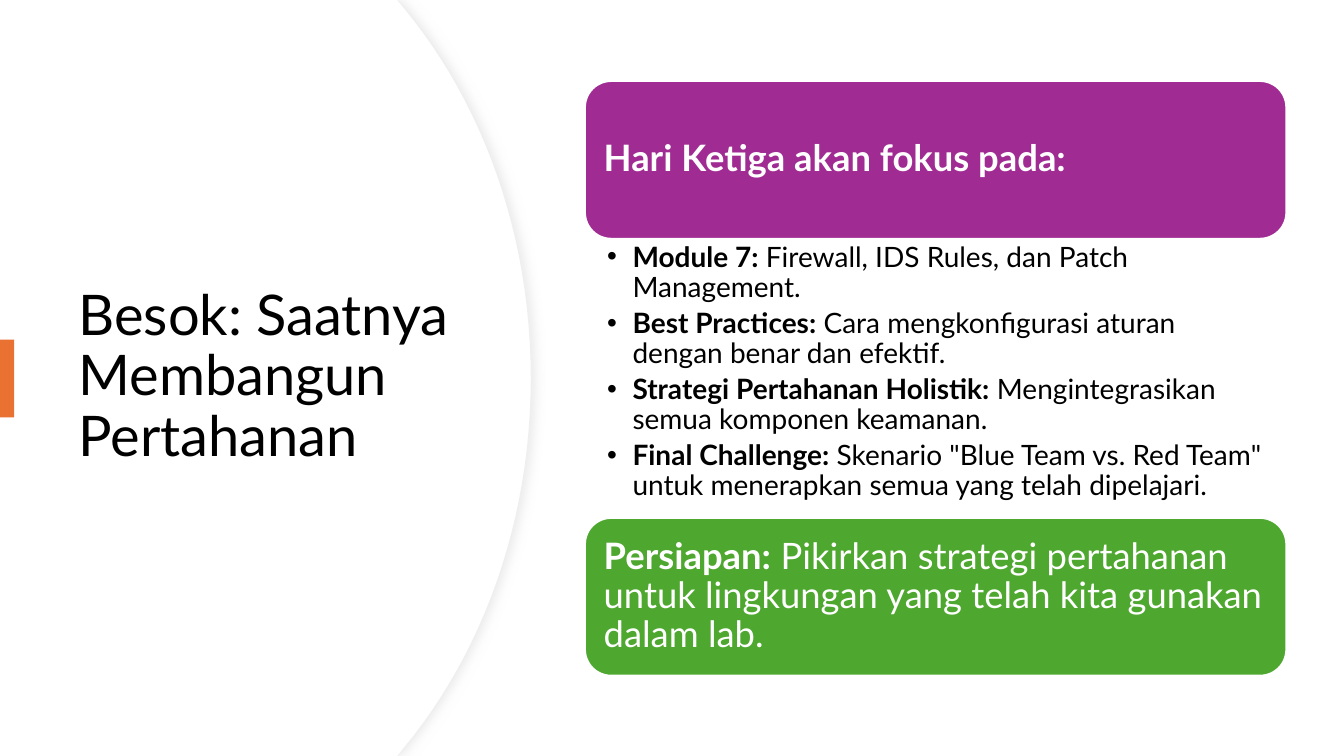
from dataclasses import dataclass

from lxml import etree
from pptx import Presentation
from pptx import util as u
from pptx.dml.color import RGBColor
from pptx.enum import shapes, text
from pptx.oxml import ns

WHITE = RGBColor(0xFF, 0xFF, 0xFF)
BLACK = RGBColor(0x00, 0x00, 0x00)
PALE_GRAY = RGBColor(0xEF, 0xEF, 0xEF)
SHADOW_GRAY = RGBColor(0xD9, 0xD9, 0xD9)
ORANGE = RGBColor(0xE9, 0x71, 0x32)
PURPLE = RGBColor(0xA0, 0x2B, 0x93)
GREEN = RGBColor(0x4E, 0xA7, 0x2E)

PAGE_WIDTH, PAGE_HEIGHT = 33.87, 19.05
COLUMN_LEFT, COLUMN_WIDTH, CARD_HEIGHT = 14.74, 17.68, 3.98
CURVE_STEPS = 24


@dataclass
class Entry:
    label: str
    detail: str = ""


@dataclass
class Card:
    top: float
    fill: RGBColor
    entry: Entry


CARDS = [
    Card(2.04, PURPLE, Entry("Hari Ketiga akan fokus pada:")),
    Card(13.05, GREEN, Entry("Persiapan:", " Pikirkan strategi pertahanan untuk lingkungan yang telah kita gunakan dalam lab.")),
]
TOPICS = [
    Entry("Module 7:", " Firewall, IDS Rules, dan Patch Management."),
    Entry("Best Practices:", " Cara mengkonfigurasi aturan dengan benar dan efektif."),
    Entry("Strategi Pertahanan Holistik:", " Mengintegrasikan semua komponen keamanan."),
    Entry("Final Challenge:", ' Skenario "Blue Team vs. Red Team" untuk menerapkan semua yang telah dipelajari.'),
]


def apply_format(target, values: dict) -> None:
    for name, value in values.items():
        setattr(target, name, value)


def place(shape, left: float, top: float, width: float, height: float) -> None:
    edges = {"left": left, "top": top, "width": width, "height": height}
    apply_format(shape, {name: u.Cm(value) for name, value in edges.items()})


def set_frame(frame, anchor, insets: tuple) -> None:
    names = ("margin_left", "margin_top", "margin_right", "margin_bottom")
    apply_format(frame, {
        "word_wrap": True,
        "auto_size": text.MSO_AUTO_SIZE.NONE,
        "vertical_anchor": anchor,
        **{name: u.Cm(value) for name, value in zip(names, insets)},
    })


def write_entry(para, entry: Entry, size: int, color: RGBColor, after: float = 0, label_bold: bool = True) -> None:
    apply_format(para, {
        "alignment": text.PP_ALIGN.LEFT,
        "line_spacing": 0.9,
        "space_before": u.Pt(0),
        "space_after": u.Pt(after),
    })
    for words, bold in ((entry.label, label_bold), (entry.detail, False)):
        if words:
            span = para.add_run()
            span.text = words
            apply_format(span.font, {"name": "Lato", "size": u.Pt(size), "bold": bold})
            span.font.color.rgb = color


def paint(shape, fill: RGBColor, line: RGBColor | None = None, weight: float = 0) -> None:
    shape.shadow.inherit = False
    shape.fill.solid()
    shape.fill.fore_color.rgb = fill
    if line is None:
        shape.line.fill.background()
    else:
        shape.line.color.rgb = line
        shape.line.width = u.Pt(weight)


def bezier(points: list, steps: int) -> list:
    (x0, y0), (x1, y1), (x2, y2), (x3, y3) = points
    curve = []
    for step in range(steps + 1):
        t = step / steps
        a, b, c, d = (1 - t) ** 3, 3 * t * (1 - t) ** 2, 3 * t * t * (1 - t), t ** 3
        curve.append((a * x0 + b * x1 + c * x2 + d * x3, a * y0 + b * y1 + c * y2 + d * y3))
    return curve


def add_panel(page, shift: float):
    controls = [(10.19, 0.2), (12.17, 2.59), (13.39, 5.89), (13.39, PAGE_HEIGHT / 2)]
    upper = bezier([(x - shift, y) for x, y in controls], CURVE_STEPS)
    lower = [(x, PAGE_HEIGHT - y) for x, y in reversed(upper[:-1])]
    outline = [(10.01, 0), *upper, *lower, (10.01, PAGE_HEIGHT), (0, PAGE_HEIGHT)]
    builder = page.shapes.build_freeform(0, 0)
    builder.add_line_segments([(u.Cm(x), u.Cm(y)) for x, y in outline], close=True)
    return builder.convert_to_shape()


def add_soft_shadow(shape) -> None:
    effects = shape.element.spPr.find(ns.qn("a:effectLst"))
    shadow = etree.SubElement(effects, ns.qn("a:outerShdw"), blurRad=str(u.Pt(7)), dist=str(u.Pt(3)), dir="0")
    color = etree.SubElement(shadow, ns.qn("a:srgbClr"), val=str(SHADOW_GRAY))
    etree.SubElement(color, ns.qn("a:alpha"), val="50000")


def add_card(page, card: Card) -> None:
    box = page.shapes.add_shape(
        shapes.MSO_SHAPE.ROUNDED_RECTANGLE,
        *map(u.Cm, (COLUMN_LEFT, card.top, COLUMN_WIDTH, CARD_HEIGHT)),
    )
    paint(box, card.fill, WHITE, 1.5)
    set_frame(box.text_frame, text.MSO_ANCHOR.MIDDLE, (0.28,) * 4)
    write_entry(box.text_frame.paragraphs[0], card.entry, 26, WHITE)


def fill_topics(body) -> None:
    top = CARDS[0].top + CARD_HEIGHT
    place(body, COLUMN_LEFT, top, COLUMN_WIDTH, CARDS[1].top - top)
    frame = body.text_frame
    set_frame(frame, text.MSO_ANCHOR.TOP, (0.56, 0.1, 0.5, 0.1))
    for index, topic in enumerate(TOPICS):
        para = frame.add_paragraph() if index else frame.paragraphs[0]
        properties = para._p.get_or_add_pPr()
        properties.set("marL", str(u.Cm(0.64)))
        properties.set("indent", str(-u.Cm(0.64)))
        bullet = etree.SubElement(properties, ns.qn("a:buChar"))
        bullet.set("char", "•")
        write_entry(para, topic, 20, BLACK, after=4)


def main() -> None:
    deck = Presentation()
    apply_format(deck, {"slide_width": u.Cm(PAGE_WIDTH), "slide_height": u.Cm(PAGE_HEIGHT)})
    page = deck.slides.add_slide(deck.slide_layouts[1])
    title, body = page.shapes.title, page.placeholders[1]

    outer_panel = add_panel(page, 0)
    paint(outer_panel, WHITE, PALE_GRAY, 0.75)
    add_soft_shadow(outer_panel)
    inner_panel = add_panel(page, 0.03)
    paint(inner_panel, WHITE)

    place(title, 1.73, 3.23, 10.01, 12.57)
    set_frame(title.text_frame, text.MSO_ANCHOR.MIDDLE, (0.25, 0.13, 0.25, 0.13))
    heading = Entry("Besok: Saatnya Membangun Pertahanan")
    write_entry(title.text_frame.paragraphs[0], heading, 40, BLACK, label_bold=False)
    inner_panel.element.addnext(title.element)

    accent = page.shapes.add_shape(shapes.MSO_SHAPE.RECTANGLE, *map(u.Cm, (0, 8.56, 0.36, 1.96)))
    paint(accent, ORANGE)

    for card in CARDS:
        add_card(page, card)
    fill_topics(body)
    accent.element.addnext(body.element)
    deck.save("out.pptx")


if __name__ == "__main__":
    main()
